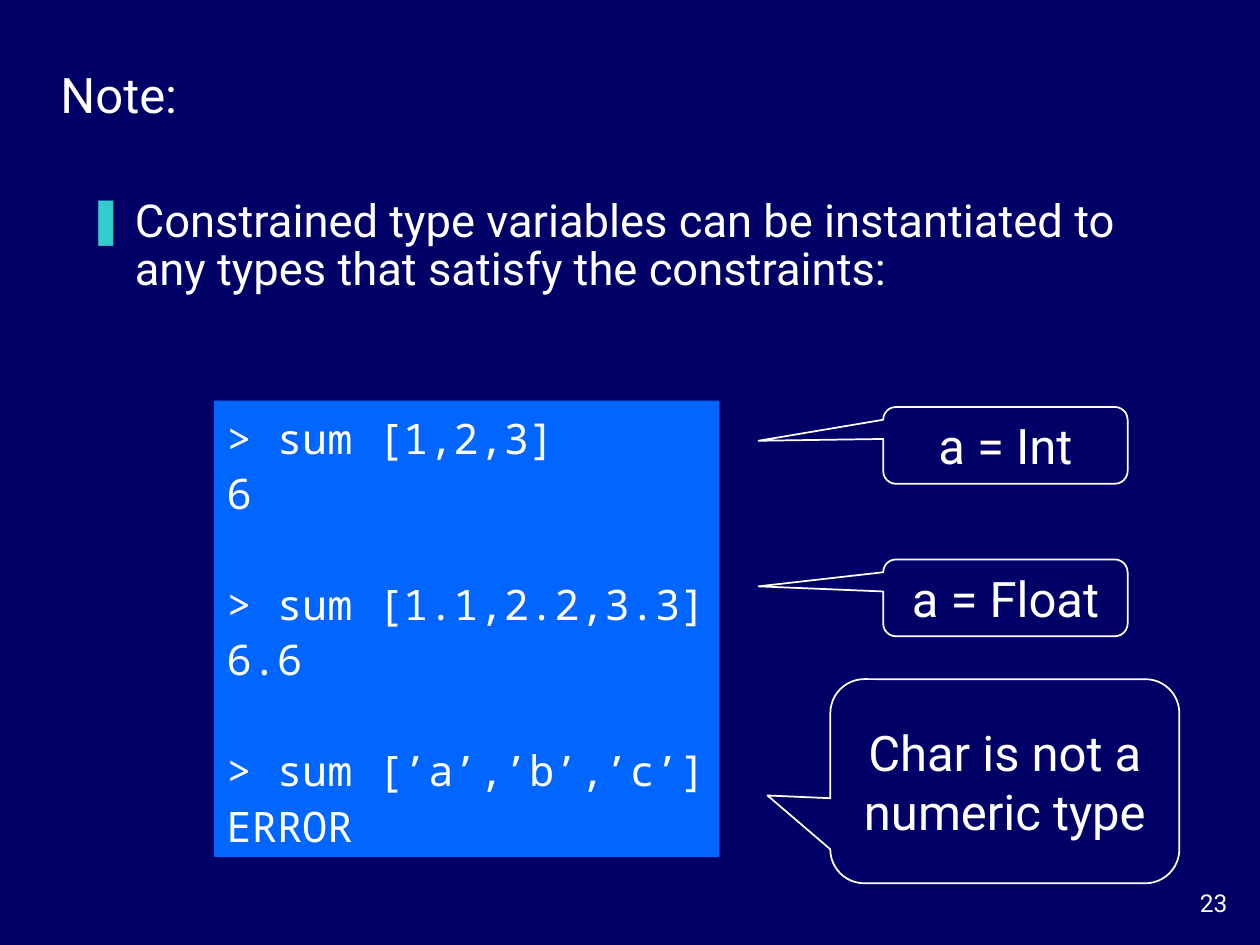
from dataclasses import dataclass
from lxml.etree import SubElement
from pptx import Presentation
from pptx.dml.color import RGBColor as RGB
from pptx.enum.shapes import MSO_SHAPE as SHAPE
from pptx.enum.text import MSO_ANCHOR as ANCHOR, MSO_AUTO_SIZE as FIT, PP_ALIGN as ALIGN
from pptx.oxml.ns import qn
from pptx.util import Inches, Pt


@dataclass(frozen=True)
class Theme:
    back: RGB = RGB(0x00, 0x00, 0x66)
    panel: RGB = RGB(0x00, 0x66, 0xFF)
    text: RGB = RGB(0xFF, 0xFF, 0xFF)
    bullet: RGB = RGB(0x33, 0xCC, 0xCC)
    font: str = "Roboto"
    mono: str = "Noto Sans Mono"
    title: float = 28
    body: float = 25.9
    code: float = 24
    number: float = 14


class Deck:
    def __init__(self, theme):
        self.theme = theme
        self.prs = Presentation()
        self.prs.slide_width, self.prs.slide_height = Inches(10), Inches(7.5)
        self.s = self.prs.slides.add_slide(self.prs.slide_layouts[1])
        fill = self.s.background.fill
        fill.solid()
        fill.fore_color.rgb = theme.back

    def place(self, sp, box):
        sp.left, sp.top, sp.width, sp.height = map(Inches, box)

    def frame(self, sp, anchor=ANCHOR.MIDDLE, wrap=True):
        tf = sp.text_frame
        tf.auto_size = FIT.NONE
        tf.word_wrap = wrap
        tf.vertical_anchor = anchor
        return tf

    def add_text(self, p, text, size, align=ALIGN.LEFT, font=None):
        p.alignment = align
        r = p.add_run()
        r.text = text
        r.font.size = Pt(size)
        r.font.name = font or self.theme.font
        r.font.color.rgb = self.theme.text

    def title(self, text, box):
        sp = self.s.shapes.title
        self.place(sp, box)
        p = self.frame(sp, wrap=False).paragraphs[0]
        self.add_text(p, text, self.theme.title)

    def bullet(self, text, box, indent):
        sp = self.s.placeholders[1]
        self.place(sp, box)
        p = self.frame(sp, ANCHOR.TOP).paragraphs[0]
        pPr = p._p.get_or_add_pPr()
        pPr.set("marL", str(Inches(indent)))
        pPr.set("indent", str(-Inches(indent)))
        color = SubElement(pPr, qn("a:buClr"))
        SubElement(color, qn("a:srgbClr"), val=str(self.theme.bullet))
        SubElement(pPr, qn("a:buChar"), char="❚")
        p.line_spacing = 0.9
        p.space_before = Pt(0)
        self.add_text(p, text, self.theme.body)

    def shape(self, kind, box):
        sp = self.s.shapes.add_shape(kind, *map(Inches, box))
        sp.shadow.inherit = False
        return sp

    def code(self, groups, box, gap):
        sp = self.shape(SHAPE.RECTANGLE, box)
        sp.fill.solid()
        sp.fill.fore_color.rgb = self.theme.panel
        sp.line.fill.background()
        tf = self.frame(sp, wrap=False)
        p = tf.paragraphs[0]
        for i, group in enumerate(groups):
            for j, line in enumerate(group):
                if i or j:
                    p = tf.add_paragraph()
                p.line_spacing = 1.1
                if i and not j:
                    p.space_before = Pt(gap)
                self.add_text(p, line, self.theme.code, font=self.theme.mono)

    def callout(self, text, box, tip):
        sp = self.shape(SHAPE.ROUNDED_RECTANGULAR_CALLOUT, box)
        sp.adjustments[0], sp.adjustments[1] = tip
        sp.fill.background()
        sp.line.color.rgb = self.theme.text
        sp.line.width = Pt(1)
        p = self.frame(sp).paragraphs[0]
        self.add_text(p, text, self.theme.title, ALIGN.CENTER)

    def number(self, text, box):
        sp = self.s.shapes.add_textbox(*map(Inches, box))
        p = self.frame(sp, ANCHOR.TOP).paragraphs[0]
        self.add_text(p, text, self.theme.number, ALIGN.RIGHT)


def main():
    deck = Deck(Theme())
    deck.title("Note:", (0.38, 0.46, 1.19, 0.57))
    deck.bullet(
        "Constrained type variables can be instantiated to any types that satisfy the constraints:",
        (0.59, 1.52, 9.01, 1.18), 0.38)
    deck.code([
        ("> sum [1,2,3]", "6"),
        ("> sum [1.1,2.2,3.3]", "6.6"),
        ("> sum [’a’,’b’,’c’]", "ERROR"),
    ], (1.7, 3.18, 4.01, 3.62), 31.7)
    for text, box, tip in [
        ("Char is not a numeric type", (6.59, 5.39, 2.77, 1.62), (-0.68, 0.07)),
        ("a = Int", (7.01, 3.23, 1.94, 0.61), (-1.01, -0.06)),
        ("a = Float", (7.01, 4.44, 1.94, 0.61), (-1.01, -0.15)),
    ]:
        deck.callout(text, box, tip)
    deck.number("23", (9.17, 7, 0.67, 0.33))
    deck.prs.save("out.pptx")


if __name__ == "__main__":
    main()
